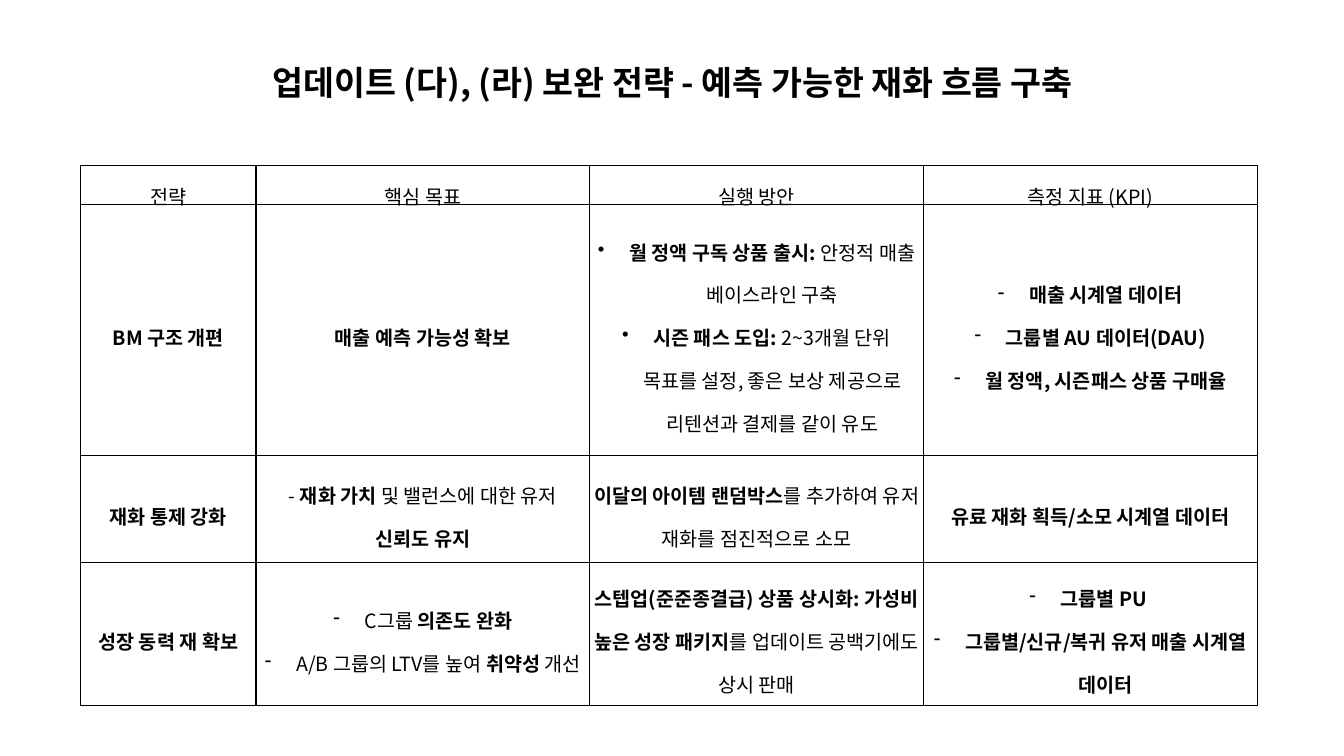
import pptx
import pptx.util
import pptx.dml.color
import pptx.enum.text
import pptx.oxml
import pptx.oxml.ns
from pptx.util import Inches

# Text between asterisks is bold; each cell is (bullet, paragraphs).
TITLE = "*업데이트 (다), (라) 보완 전략 - 예측 가능한 재화 흐름 구축*"
ROWS = [
    [("", ["전략"]), ("", ["핵심 목표"]), ("", ["실행 방안"]), ("", ["측정 지표 (KPI)"])],
    [
        ("", ["*BM 구조 개편*"]),
        ("", ["*매출 예측 가능성 확보*"]),
        ("•", ["*월 정액 구독 상품 출시:* 안정적 매출 베이스라인 구축",
               "*시즌 패스 도입: *2~3개월 단위 목표를 설정, 좋은 보상 제공으로 "
               "리텐션과 결제를 같이 유도"]),
        ("-", ["*매출 시계열 데이터*", "*그룹별 AU 데이터(DAU)*",
               "*월 정액, 시즌패스 상품 구매율*"]),
    ],
    [
        ("", ["*재화 통제 강화*"]),
        ("", ["- *재화 가치* 및 밸런스에 대한 유저 *신뢰도 유지*"]),
        ("", ["*이달의 아이템 랜덤박스*를 추가하여 유저 재화를 점진적으로 소모"]),
        ("", ["*유료 재화 획득/소모 시계열 데이터*"]),
    ],
    [
        ("", ["*성장 동력 재 확보*"]),
        ("-", ["C그룹 *의존도 완화*", "A/B 그룹의 LTV를 높여* 취약성* 개선"]),
        ("", ["*스텝업(준준종결급) 상품 상시화: 가성비 높은 성장 패키지*를 업데이트 "
              "공백기에도 상시 판매"]),
        ("-", ["*그룹별 PU *", "*그룹별/신규/복귀 유저 매출 시계열 데이터*"]),
    ],
]
COLUMN_WIDTHS = [1.74, 3.31, 3.31, 3.31]
ROW_HEIGHTS = [0.35, 2.49, 1.06, 1.42]
TABLE_LEFT, TABLE_TOP = 0.8, 1.64
THEME = {
    "font": "Noto Sans CJK KR",
    "ink": "000000",
    "title_size": 24,
    "body_size": 14,
    "border": 1,
    "line_spacing": 1.5,
    "indent": 0.31,
}


def add_child(parent, tag, **attributes):
    child = pptx.oxml.parse_xml(f'<{tag} {pptx.oxml.ns.nsdecls("a")}/>')
    for name, value in attributes.items():
        child.set(name, str(value))
    parent.append(child)
    return child


def write_text(frame, paragraphs, size, bullet="", line_spacing=None):
    for index, text in enumerate(paragraphs):
        paragraph = frame.add_paragraph() if index else frame.paragraphs[0]
        paragraph.alignment = pptx.enum.text.PP_ALIGN.CENTER
        if line_spacing:
            paragraph.line_spacing = line_spacing
        if bullet:
            properties = paragraph._p.get_or_add_pPr()
            indent = Inches(THEME["indent"])
            properties.set("marL", str(indent))
            properties.set("indent", str(-indent))
            add_child(properties, "a:buChar", char=bullet)
        for position, part in enumerate(text.split("*")):
            if not part:
                continue
            run = paragraph.add_run()
            run.text = part
            run.font.size = pptx.util.Pt(size)
            run.font.bold = position % 2 == 1
            run.font.color.rgb = pptx.dml.color.RGBColor.from_string(THEME["ink"])
            run.font.name = THEME["font"]
            add_child(run._r.get_or_add_rPr(), "a:ea", typeface=THEME["font"])


def add_borders(cell):
    properties = cell._tc.get_or_add_tcPr()
    for side in ("L", "R", "T", "B"):
        line = add_child(properties, f"a:ln{side}", w=pptx.util.Pt(THEME["border"]))
        fill = add_child(line, "a:solidFill")
        add_child(fill, "a:srgbClr", val=THEME["ink"])


def add_title(slide):
    box = slide.shapes.add_textbox(Inches(0.9), Inches(0.57), Inches(11.54), Inches(0.5))
    frame = box.text_frame
    frame.word_wrap = True
    frame.auto_size = pptx.enum.text.MSO_AUTO_SIZE.SHAPE_TO_FIT_TEXT
    write_text(frame, [TITLE], THEME["title_size"])


def add_strategy_table(slide):
    table = slide.shapes.add_table(
        len(ROWS), len(COLUMN_WIDTHS), Inches(TABLE_LEFT), Inches(TABLE_TOP),
        Inches(sum(COLUMN_WIDTHS)), Inches(sum(ROW_HEIGHTS))).table
    table.first_row = False
    table.horz_banding = False
    for column, width in zip(table.columns, COLUMN_WIDTHS):
        column.width = Inches(width)
    for row, height, contents in zip(table.rows, ROW_HEIGHTS, ROWS):
        row.height = Inches(height)
        for cell, (bullet, paragraphs) in zip(row.cells, contents):
            cell.vertical_anchor = pptx.enum.text.MSO_ANCHOR.MIDDLE
            cell.margin_left = cell.margin_right = Inches(0.04)
            cell.margin_top = cell.margin_bottom = Inches(0.02)
            add_borders(cell)
            cell.fill.background()
            write_text(cell.text_frame, paragraphs, THEME["body_size"],
                       bullet=bullet, line_spacing=THEME["line_spacing"])


def main():
    presentation = pptx.Presentation()
    presentation.slide_width = Inches(13.33)
    presentation.slide_height = Inches(7.5)
    slide = presentation.slides.add_slide(presentation.slide_layouts[6])
    add_title(slide)
    add_strategy_table(slide)
    presentation.save("out.pptx")


if __name__ == "__main__":
    main()
